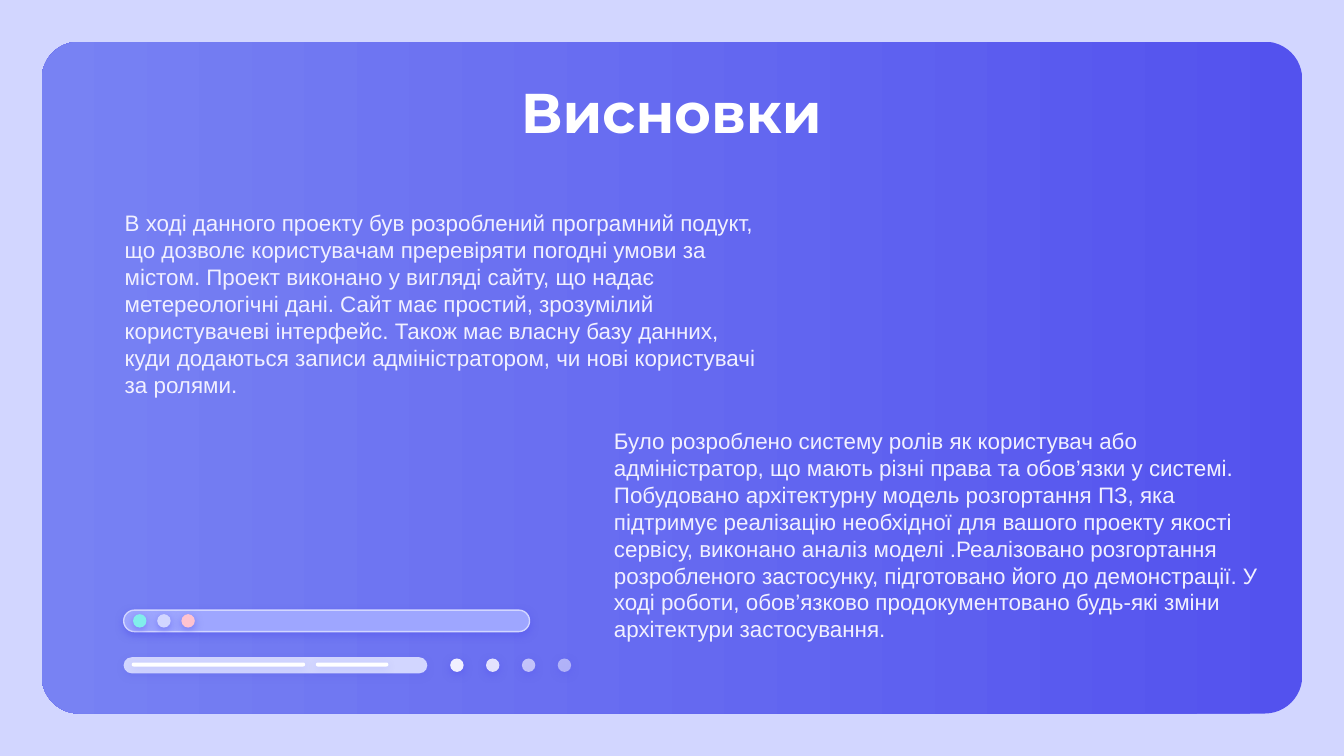
import pptx
import pptx.dml.color
import pptx.enum.shapes
import pptx.enum.text
import pptx.oxml
import pptx.oxml.ns
import pptx.util
from pptx.util import Inches

SHAPE = pptx.enum.shapes.MSO_SHAPE
INDIGO, PERIWINKLE, LAVENDER = "5352EE", "7882F3", "D2D6FF"
PALE, WHITE = "F1F0FF", "FFFFFF"

SUMMARY = (
    "В ході данного проекту був розроблений програмний подукт, що дозволє "
    "користувачам преревіряти погодні умови за містом. Проект виконано у вигляді "
    "сайту, що надає метереологічні дані. Сайт має простий, зрозумілий "
    "користувачеві інтерфейс. Також має власну базу данних, куди додаються записи "
    "адміністратором, чи нові користувачі за ролями."
)
DETAILS = (
    "Було розроблено систему ролів як користувач або адміністратор, що мають різні "
    "права та обов’язки у системі. Побудовано архітектурну модель розгортання ПЗ, "
    "яка підтримує реалізацію необхідної для вашого проекту якості сервісу, "
    "виконано аналіз моделі .Реалізовано розгортання розробленого застосунку, "
    "підготовано його до демонстрації. У ході роботи, обов’язково продокументовано "
    "будь-які зміни архітектури застосування."
)


def rgb(color):
    return pptx.dml.color.RGBColor.from_string(color)


def add_glow(sp, opacity):
    """Soft indigo shadow just below the shape."""
    sp.shadow.inherit = False
    effects = sp._element.spPr.find(pptx.oxml.ns.qn("a:effectLst"))
    effects.append(pptx.oxml.parse_xml(
        f'<a:outerShdw {pptx.oxml.ns.nsdecls("a")} blurRad="{pptx.util.Pt(4.5)}" '
        f'dist="{pptx.util.Pt(1.5)}" dir="5400000" algn="bl" rotWithShape="0">'
        f'<a:srgbClr val="{INDIGO}"><a:alpha val="{opacity * 1000}"/></a:srgbClr>'
        '</a:outerShdw>'))


def add_filled(shapes, kind, left, top, width, height, color, glow, alpha=100):
    sp = shapes.add_shape(kind, Inches(left), Inches(top), Inches(width), Inches(height))
    sp.fill.solid()
    sp.fill.fore_color.rgb = rgb(color)
    if alpha < 100:
        clr = sp._element.spPr.find(".//" + pptx.oxml.ns.qn("a:srgbClr"))
        clr.append(pptx.oxml.parse_xml(
            f'<a:alpha {pptx.oxml.ns.nsdecls("a")} val="{alpha * 1000}"/>'))
    sp.line.fill.background()
    add_glow(sp, glow)
    return sp


def add_pill(shapes, left, top, width, height, color, glow):
    sp = add_filled(shapes, SHAPE.ROUNDED_RECTANGLE, left, top, width, height, color, glow)
    sp.adjustments[0] = 0.5
    return sp


def add_dots(s, left, top, right, dots):
    """Evenly spaced dots, the first at left and the last at right."""
    shapes = s.shapes.add_group_shape().shapes
    step = (right - left) / (len(dots) - 1)
    for i, (color, alpha) in enumerate(dots):
        add_filled(shapes, SHAPE.OVAL, left + i * step, top, 0.1, 0.1, color, 50, alpha)


def add_run(p, text, size, font, color, bold=False):
    r = p.add_run()
    r.text = text
    r.font.size = pptx.util.Pt(size)
    r.font.name = font
    r.font.bold = bold
    r.font.color.rgb = rgb(color)


def add_panel(s):
    sp = s.shapes.add_shape(SHAPE.ROUNDED_RECTANGLE, Inches(0.31), Inches(0.31),
                            Inches(9.38), Inches(5))
    sp.adjustments[0] = 0.056
    sp.shadow.inherit = False
    sp.line.fill.background()
    sp.fill.gradient()
    sp.fill.gradient_angle = 180
    for stop, color in zip(sp.fill.gradient_stops, (INDIGO, PERIWINKLE)):
        stop.color.rgb = rgb(color)
    s.shapes._spTree.insert(2, sp._element)  # behind the title


def set_title(s, text):
    title = s.shapes.title
    title.left, title.top = Inches(0.78), Inches(0.48)
    title.width, title.height = Inches(8.43), Inches(0.63)
    tf = title.text_frame
    tf.auto_size = pptx.enum.text.MSO_AUTO_SIZE.NONE
    tf.vertical_anchor = pptx.enum.text.MSO_ANCHOR.TOP
    tf.margin_left = tf.margin_right = tf.margin_top = tf.margin_bottom = Inches(0.1)
    p = tf.paragraphs[0]
    p.alignment = pptx.enum.text.PP_ALIGN.CENTER
    add_run(p, text, 30, "Montserrat", WHITE, bold=True)


def add_text(s, left, top, width, height, text):
    tf = s.shapes.add_textbox(Inches(left), Inches(top), Inches(width),
                              Inches(height)).text_frame
    tf.word_wrap = True
    tf.auto_size = pptx.enum.text.MSO_AUTO_SIZE.SHAPE_TO_FIT_TEXT
    add_run(tf.paragraphs[0], text, 12, "Arial", PALE)


def main():
    prs = pptx.Presentation()
    prs.slide_width = Inches(10)
    prs.slide_height = prs.slide_width * 9 // 16
    s = prs.slides.add_slide(prs.slide_layouts[5])
    s.background.fill.solid()
    s.background.fill.fore_color.rgb = rgb(LAVENDER)

    add_panel(s)
    set_title(s, "Висновки")

    # Browser bar with its buttons, and the fading dots
    bar = add_pill(s.shapes, 0.92, 4.54, 3.02, 0.16, "9EA6FF", 50)
    bar.line.color.rgb = rgb(LAVENDER)
    bar.line.width = pptx.util.Pt(0.75)
    add_dots(s, 3.35, 4.9, 4.15, [(PALE, alpha) for alpha in (100, 90, 67, 54)])
    add_dots(s, 0.99, 4.57, 1.35, [(c, 100) for c in ("81EEEB", LAVENDER, "FFC3D0")])

    # Address field with two strokes
    field = s.shapes.add_group_shape().shapes
    add_pill(field, 0.92, 4.89, 2.26, 0.12, LAVENDER, 14)
    for left, width in ((0.98, 1.29), (2.35, 0.54)):
        add_pill(field, left, 4.93, width, 0.03, WHITE, 14)

    # Conclusions
    add_text(s, 0.83, 1.51, 5, 1.51, SUMMARY)
    add_text(s, 4.47, 3.13, 5, 1.72, DETAILS)
    prs.save("out.pptx")


if __name__ == "__main__":
    main()
